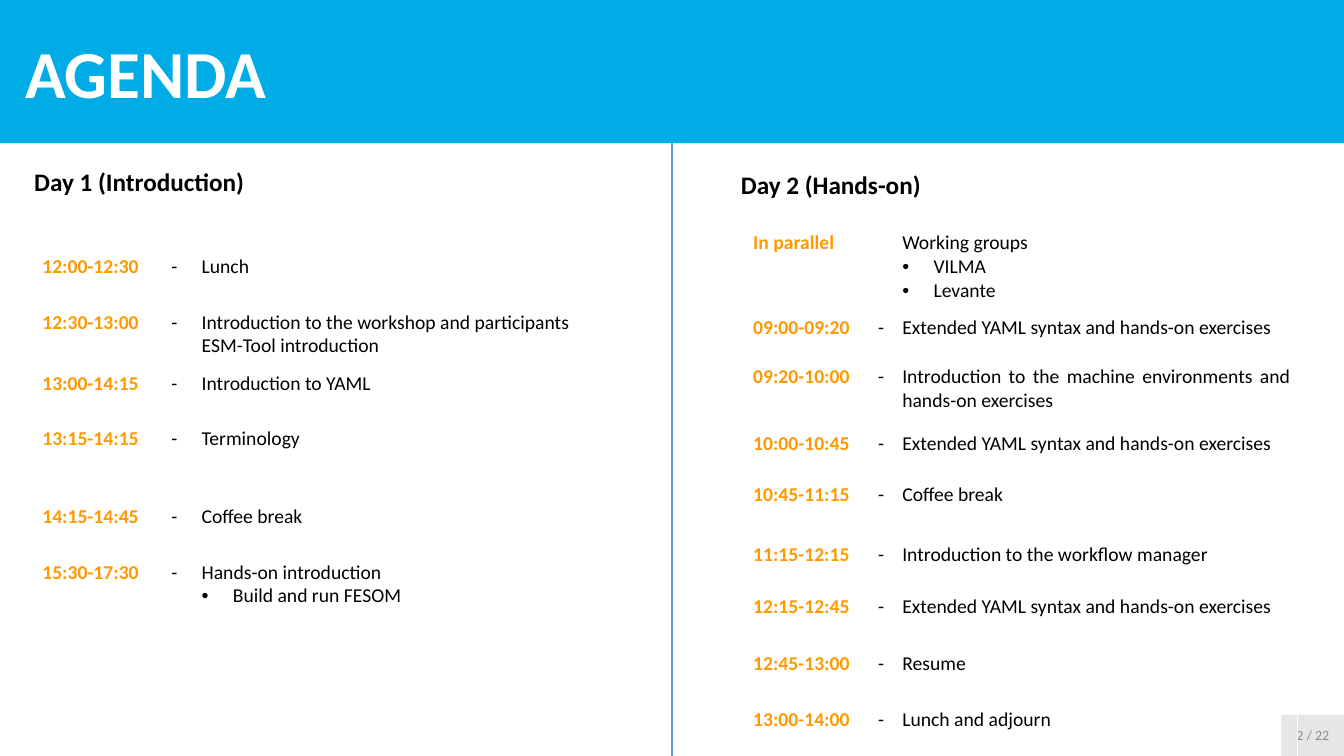
from lxml import etree
from pptx import Presentation
from pptx.dml.color import RGBColor
from pptx.enum.shapes import MSO_CONNECTOR, MSO_SHAPE
from pptx.enum.text import MSO_ANCHOR, MSO_AUTO_SIZE, PP_ALIGN
from pptx.oxml.ns import qn
from pptx.util import Inches, Pt

LEFT, CENTER, JUSTIFY = PP_ALIGN.LEFT, PP_ALIGN.CENTER, PP_ALIGN.JUSTIFY
RECTANGLE = MSO_SHAPE.RECTANGLE
STRAIGHT = MSO_CONNECTOR.STRAIGHT
MIDDLE = MSO_ANCHOR.MIDDLE
GROW = MSO_AUTO_SIZE.SHAPE_TO_FIT_TEXT

FONT = "Calibri"
BULLET_FONT = "Arial"
COLORS = {
    "band": "00ACE6",
    "time": "FF9900",
    "text": "000000",
    "white": "FFFFFF",
    "divider": "5B9BD5",
    "page_box": "E7E6E6",
    "page_text": "8C8C8C",
}
SLIDE_WIDTH, SLIDE_HEIGHT, BAND_HEIGHT = 13.33, 7.5, 1.42
CELL_INSET = 0.07
BULLET_INDENT = 0.31

DAY_1_PLACE = (0.35, 2.46, (1.28, 0.3, 6.65))
DAY_2_PLACE = (7.4, 2.22, (1.24, 0.24, 3.99))
OPENING = [(0.61, "", [], [])]
DAY_1 = [
    (0.55, "12:00-12:30", ["Lunch"], []),
    (0.61, "12:30-13:00",
     ["Introduction to the workshop and participants", "ESM-Tool introduction"], []),
    (0.55, "13:00-14:15", ["Introduction to YAML"], []),
    (0.77, "13:15-14:15", ["Terminology"], []),
    (0.55, "14:15-14:45", ["Coffee break"], []),
    (0.61, "15:30-17:30", ["Hands-on introduction"], ["Build and run FESOM"]),
    (0.55, "", [], []),
]
EXERCISES = "Extended YAML syntax and hands-on exercises"
DAY_2 = [
    (0.84, "In parallel", ["Working groups"], ["VILMA", "Levante"]),
    (0.49, "09:00-09:20", [EXERCISES], []),
    (0.66, "09:20-10:00",
     ["Introduction to the machine environments and hands-on exercises"], []),
    (0.51, "10:00-10:45", [EXERCISES], []),
    (0.6, "10:45-11:15", ["Coffee break"], []),
    (0.51, "11:15-12:15", ["Introduction to the workflow manager"], []),
    (0.57, "12:15-12:45", [EXERCISES], []),
    (0.55, "12:45-13:00", ["Resume"], []),
    (0.66, "13:00-14:00", ["Lunch and adjourn"], []),
]


def rgb(name):
    return RGBColor.from_string(COLORS[name])


def write(paragraph, text, size, color, bold=False, align=LEFT):
    paragraph.text = text
    paragraph.alignment = align
    font = paragraph.font
    font.name, font.size, font.bold = FONT, Pt(size), bold
    font.color.rgb = rgb(color)


def add_bullet(paragraph):
    properties = paragraph._p.get_or_add_pPr()
    indent = Inches(BULLET_INDENT)
    properties.set("marL", str(indent))
    properties.set("indent", str(-indent))
    properties.insert(0, etree.Element(qn("a:buFont"), typeface=BULLET_FONT))
    properties.insert(1, etree.Element(qn("a:buChar"), char="•"))


def add_box(slide, box, fill, text, size, color, bold=False, align=LEFT):
    shape = slide.shapes.add_shape(RECTANGLE, *map(Inches, box))
    shape.shadow.inherit = False
    shape.fill.solid()
    shape.fill.fore_color.rgb = rgb(fill)
    shape.line.fill.background()
    shape.text_frame.vertical_anchor = MIDDLE
    write(shape.text_frame.paragraphs[0], text, size, color, bold, align)


def add_heading(slide, box, text):
    frame = slide.shapes.add_textbox(*map(Inches, box)).text_frame
    frame.word_wrap = True
    frame.auto_size = GROW
    write(frame.paragraphs[0], text, 18, "text", bold=True)


def add_divider(slide, x, top, bottom):
    divider = slide.shapes.add_connector(STRAIGHT, *map(Inches, (x, top, x, bottom)))
    divider.line.color.rgb = rgb("divider")
    divider.line.width = Pt(1.5)
    etree.SubElement(divider._element.spPr, qn("a:effectLst"))


def style_cell(cell):
    cell.margin_left = cell.margin_right = Inches(CELL_INSET)
    cell.margin_top = cell.margin_bottom = Inches(CELL_INSET)
    cell.fill.background()
    properties = cell._tc.get_or_add_tcPr()
    for position, side in enumerate(("lnL", "lnR", "lnT", "lnB")):
        border = etree.Element(qn(f"a:{side}"), w=str(Pt(1)))
        fill = etree.SubElement(border, qn("a:solidFill"))
        etree.SubElement(fill, qn("a:srgbClr"), val=COLORS["white"])
        properties.insert(position, border)


def fill_topic(cell, lines, bullets):
    frame = cell.text_frame
    for index, text in enumerate(lines + bullets or [""]):
        paragraph = frame.add_paragraph() if index else frame.paragraphs[0]
        write(paragraph, text, 14, "text", align=JUSTIFY)
        if bullets and index >= len(lines):
            add_bullet(paragraph)


def add_schedule(slide, place, sessions):
    left, top, widths = place
    height = sum(session[0] for session in sessions)
    table = slide.shapes.add_table(
        len(sessions), len(widths),
        *map(Inches, (left, top, sum(widths), height))).table
    table.first_row = table.horz_banding = False
    for column, width in zip(table.columns, widths):
        column.width = Inches(width)
    for row, (row_height, time, lines, bullets) in zip(table.rows, sessions):
        row.height = Inches(row_height)
        for cell in row.cells:
            style_cell(cell)
        time_cell, dash_cell, topic_cell = row.cells
        dash = "-" if ":" in time else ""
        write(time_cell.text_frame.paragraphs[0], time, 14, "time", bold=True)
        write(dash_cell.text_frame.paragraphs[0], dash, 14, "text", align=JUSTIFY)
        fill_topic(topic_cell, lines, bullets)


def main():
    presentation = Presentation()
    presentation.slide_width = Inches(SLIDE_WIDTH)
    presentation.slide_height = Inches(SLIDE_HEIGHT)
    slide = presentation.slides.add_slide(presentation.slide_layouts[6])

    add_box(slide, (0, 0, SLIDE_WIDTH, BAND_HEIGHT), "band", " AGENDA", 48,
            "white", bold=True)
    add_heading(slide, (0.24, 1.6, 2.88, 0.67), "Day 1 (Introduction)")
    add_schedule(slide, DAY_1_PLACE, OPENING)
    add_schedule(slide, DAY_1_PLACE, DAY_1)
    add_heading(slide, (7.25, 1.63, 2.51, 0.74), "Day 2 (Hands-on)")
    add_divider(slide, SLIDE_WIDTH / 2, BAND_HEIGHT, SLIDE_HEIGHT)
    add_box(slide, (12.71, 7.09, 0.62, 0.41), "page_box", "2 / 22", 10,
            "page_text", align=CENTER)
    add_schedule(slide, DAY_2_PLACE, DAY_2)

    presentation.save("out.pptx")


main()
